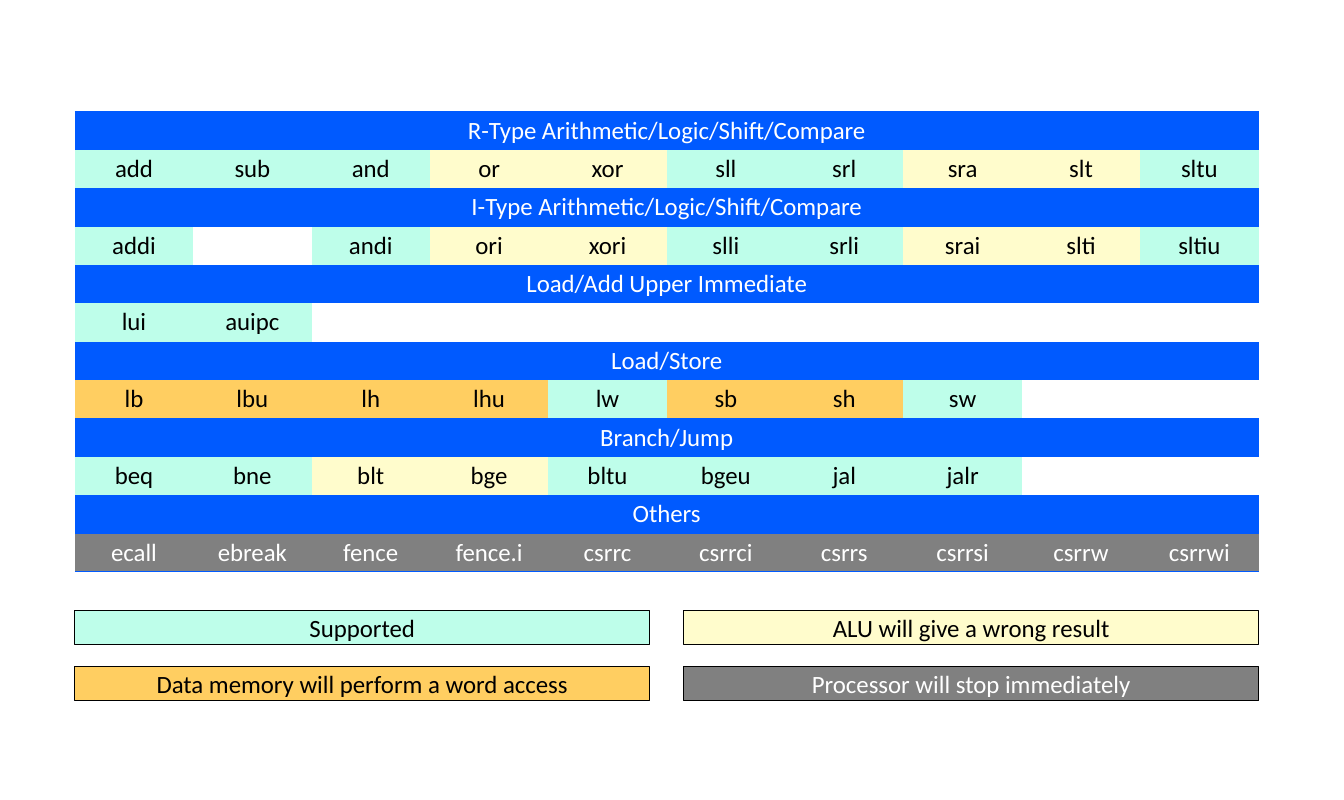
from lxml import etree
from pptx import Presentation
from pptx.dml.color import RGBColor
from pptx.enum.shapes import MSO_SHAPE
from pptx.enum.text import MSO_ANCHOR, PP_ALIGN
from pptx.oxml import parse_xml
from pptx.oxml.ns import nsdecls, qn
from pptx.util import Inches, Pt

BLUE = RGBColor(0x00, 0x5A, 0xFF)
MINT = RGBColor(0xBE, 0xFE, 0xEA)
CREAM = RGBColor(0xFF, 0xFC, 0xCC)
ORANGE = RGBColor(0xFF, 0xCE, 0x61)
GRAY = RGBColor(0x80, 0x80, 0x80)
BLACK = RGBColor(0x00, 0x00, 0x00)
WHITE = RGBColor(0xFF, 0xFF, 0xFF)

NO_GRID_STYLE = "{2D5ABB26-0587-4C30-8999-92F81FD0307C}"
COLUMNS = 10
LEFT, WIDTH, ROW_HEIGHT = 0.92, 14.56, 0.47

# Status letter -> fill colour, legend label
STATUS = {
    "S": (MINT, "Supported"),
    "A": (CREAM, "ALU will give a wrong result"),
    "M": (ORANGE, "Data memory will perform a word access"),
    "X": (GRAY, "Processor will stop immediately"),
}

# Heading, instructions ("-" is an empty cell), status letters
GROUPS = [
    ("R-Type Arithmetic/Logic/Shift/Compare",
     "add sub and or xor sll srl sra slt sltu", "SSSAASSAAS"),
    ("I-Type Arithmetic/Logic/Shift/Compare",
     "addi - andi ori xori slli srli srai slti sltiu", "S-SAASSAAS"),
    ("Load/Add Upper Immediate", "lui auipc", "SS"),
    ("Load/Store", "lb lbu lh lhu lw sb sh sw", "MMMMSMMS"),
    ("Branch/Jump", "beq bne blt bge bltu bgeu jal jalr", "SSAASSSS"),
    ("Others",
     "ecall ebreak fence fence.i csrrc csrrci csrrs csrrsi csrrw csrrwi",
     "XXXXXXXXXX"),
]


def fill_with_label(target, text, fill_color):
    """Fill a cell or shape and centre a label in it."""
    target.fill.solid()
    target.fill.fore_color.rgb = fill_color
    paragraph = target.text_frame.paragraphs[0]
    paragraph.alignment = PP_ALIGN.CENTER
    run = paragraph.add_run()
    run.text = text
    run.font.name = "Calibri"
    run.font.size = Pt(22)
    run.font.color.rgb = WHITE if fill_color in (BLUE, GRAY) else BLACK


def add_border(cell, edge):
    """Draw a blue 1 pt border on one edge, such as lnT or lnB."""
    border = parse_xml(f'<a:{edge} {nsdecls("a")} w="12700"/>')
    fill = etree.SubElement(border, qn("a:solidFill"))
    etree.SubElement(fill, qn("a:srgbClr"), val=str(BLUE))
    cell._tc.get_or_add_tcPr().insert(0, border)


presentation = Presentation()
presentation.slide_width = Inches(16.53)
presentation.slide_height = Inches(9.84)
slide = presentation.slides.add_slide(presentation.slide_layouts[6])

# Instruction table
row_count = 2 * len(GROUPS)
frame = slide.shapes.add_table(
    row_count, COLUMNS, Inches(LEFT), Inches(1.37),
    Inches(WIDTH), Inches(row_count * ROW_HEIGHT))
table = frame.table
table.first_row = False
table.horz_banding = False
table._tbl.tblPr.find(qn("a:tableStyleId")).text = NO_GRID_STYLE

for index, (heading, instructions, statuses) in enumerate(GROUPS):
    heading_row = 2 * index
    heading_cell = table.cell(heading_row, 0)
    heading_cell.merge(table.cell(heading_row, COLUMNS - 1))
    heading_cell.vertical_anchor = MSO_ANCHOR.MIDDLE
    fill_with_label(heading_cell, heading, BLUE)

    for column, (name, status) in enumerate(zip(instructions.split(), statuses)):
        if status in STATUS:
            cell = table.cell(heading_row + 1, column)
            cell.vertical_anchor = MSO_ANCHOR.MIDDLE
            fill_with_label(cell, name, STATUS[status][0])

# Outer borders of the table
for column in range(COLUMNS):
    add_border(table.cell(0, column), "lnT")
    add_border(table.cell(row_count - 1, column), "lnB")

# Legend, two boxes per row
BOX_WIDTH, BOX_HEIGHT = 7.07, 0.42
for index, (color, label) in enumerate(STATUS.values()):
    row, column = divmod(index, 2)
    box = slide.shapes.add_shape(
        MSO_SHAPE.RECTANGLE,
        Inches(LEFT + column * (WIDTH - BOX_WIDTH)), Inches(7.51 + row * 0.69),
        Inches(BOX_WIDTH), Inches(BOX_HEIGHT))
    box.shadow.inherit = False
    box.line.color.rgb = BLACK
    box.line.width = Pt(1)
    box.text_frame.vertical_anchor = MSO_ANCHOR.MIDDLE
    fill_with_label(box, label, color)

presentation.save("out.pptx")
